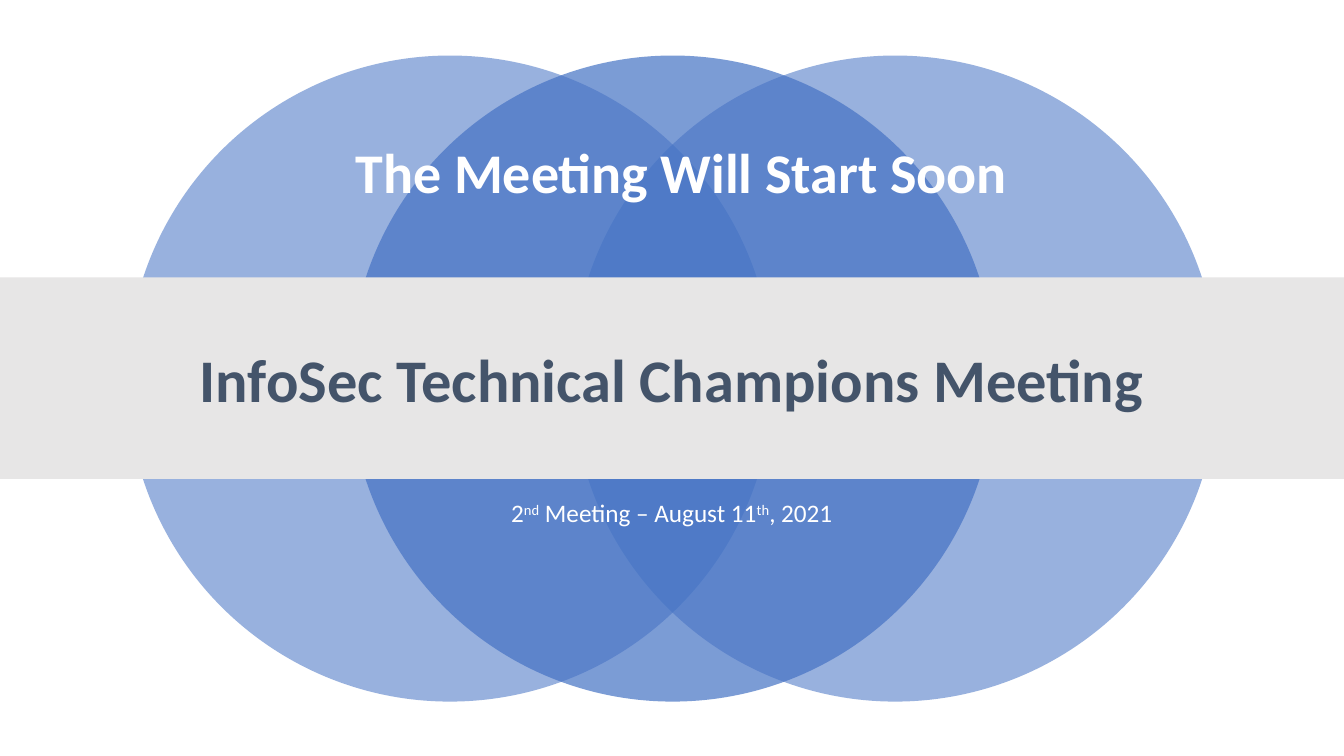
import dataclasses

import lxml.etree
import pptx
import pptx.dml.color
import pptx.enum.shapes
import pptx.enum.text
import pptx.oxml.ns
import pptx.util

Cm = pptx.util.Cm
Shapes = pptx.enum.shapes.MSO_SHAPE
Anchor = pptx.enum.text.MSO_ANCHOR


@dataclasses.dataclass(frozen=True)
class Theme:
    font: str = "Calibri"
    background: str = "FFFFFF"
    circle: str = "4472C4"
    band: str = "E7E6E6"
    title: str = "44546A"
    light: str = "FFFFFF"
    title_size: float = 43.2
    notice_size: float = 40
    date_size: float = 18


class SlideBuilder:
    def __init__(self, slide, theme):
        self.slide = slide
        self.theme = theme

    def paint(self, fill, color):
        fill.solid()
        fill.fore_color.rgb = pptx.dml.color.RGBColor.from_string(color)

    def background(self):
        self.paint(self.slide.background.fill, self.theme.background)

    def shape(self, preset, left, top, width, height, color, opacity=100):
        shape = self.slide.shapes.add_shape(
            preset, Cm(left), Cm(top), Cm(width), Cm(height))
        shape.shadow.inherit = False
        shape.line.fill.background()
        self.paint(shape.fill, color)
        if opacity < 100:
            tint = shape.fill._xPr.find(".//" + pptx.oxml.ns.qn("a:srgbClr"))
            alpha = lxml.etree.SubElement(tint, pptx.oxml.ns.qn("a:alpha"))
            alpha.set("val", str(opacity * 1000))

    def text(self, pieces, left, top, width, height, size, color,
             bold=False, anchor=Anchor.MIDDLE):
        box = self.slide.shapes.add_textbox(
            Cm(left), Cm(top), Cm(width), Cm(height))
        frame = box.text_frame
        frame.word_wrap = True
        frame.vertical_anchor = anchor
        paragraph = frame.paragraphs[0]
        paragraph.alignment = pptx.enum.text.PP_ALIGN.CENTER
        paragraph.line_spacing = 0.9
        for wording, raised in pieces:
            run = paragraph.add_run()
            run.text = wording
            run.font.name = self.theme.font
            run.font.size = pptx.util.Pt(size)
            run.font.bold = bold
            run.font.color.rgb = pptx.dml.color.RGBColor.from_string(color)
            if raised:
                run.font._element.set("baseline", "30000")


def main():
    presentation = pptx.Presentation()
    presentation.slide_width = Cm(33.87)
    presentation.slide_height = Cm(19.05)
    theme = Theme()
    builder = SlideBuilder(
        presentation.slides.add_slide(presentation.slide_layouts[6]), theme)
    builder.background()

    first_left, step, diameter = 3.2, 5.61, 16.28
    for position, opacity in ((0, 55), (2, 55), (1, 70)):
        builder.shape(Shapes.OVAL, first_left + position * step, 1.4,
                      diameter, diameter, theme.circle, opacity)

    date = [("2", False), ("nd", True), (" Meeting – August 11", False),
            ("th", True), (", 2021", False)]
    builder.text(date, 4.23, 12.5, 25.4, 2.1, theme.date_size, theme.light,
                 anchor=Anchor.TOP)
    builder.shape(Shapes.RECTANGLE, 0, 6.99, 33.87, 5.08, theme.band)
    builder.text([("InfoSec Technical Champions Meeting", False)],
                 4.23, 7.72, 25.4, 3.84, theme.title_size, theme.title,
                 bold=True)
    builder.text([("The Meeting Will Start Soon", False)],
                 3.2, 2.41, 27.94, 4.04, theme.notice_size, theme.light,
                 bold=True)
    presentation.save("out.pptx")


if __name__ == "__main__":
    main()
